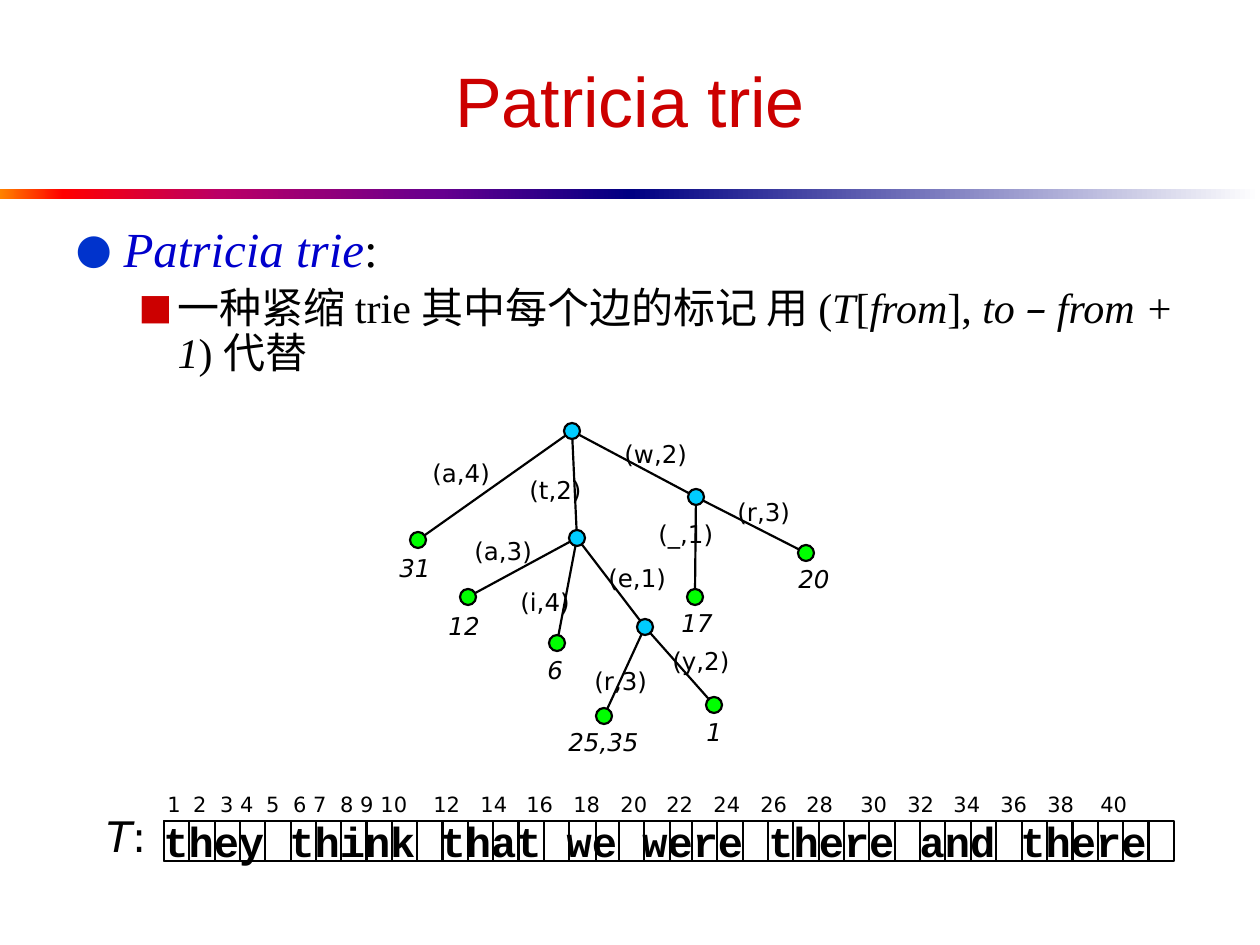
"""Builds the Patricia trie slide: heading, definition, trie diagram and indexed text."""
from math import hypot

from lxml.etree import SubElement
from pptx import Presentation
from pptx.dml.color import RGBColor
from pptx.enum.shapes import MSO_CONNECTOR, MSO_SHAPE
from pptx.enum.text import MSO_ANCHOR, MSO_AUTO_SIZE, PP_ALIGN
from pptx.oxml.ns import qn
from pptx.util import Emu, Pt

PX = 914400 // 126
COLORS = {
    "title": "CC0000", "term": "0000CC", "text": "000000", "dot": "0033CC",
    "square": "CC0000", "inner": "00CCFF", "leaf": "00FF00",
}
SANS, SERIF = "DejaVu Sans", "Times New Roman"
BARS = [
    (0, [(0, "FF8200"), (10, "FF0000"), (35, "BA0066"), (70, "66008F"), (100, "000082")]),
    (630, [(0, "000082"), (100, "FFFFFF")]),
]
BULLETS = [
    {"level": 0, "left": 48, "hang": 48, "mark": "●", "mark_color": "dot", "size": 28, "before": 0,
     "spans": [("Patricia trie", True, "term", SERIF), (":", False, "text", SERIF)]},
    {"level": 1, "left": 102, "hang": 39, "mark": "■", "mark_color": "square", "size": 24, "before": 5,
     "spans": [("一种紧缩 trie 其中每个边的标记 用 (", False, "text", SERIF),
               ("T", True, "text", SERIF), ("[", False, "text", SERIF),
               ("from", True, "text", SERIF), ("], ", False, "text", SERIF),
               ("to ", True, "text", SERIF), ("–", True, "text", SANS),
               (" from + 1", True, "text", SERIF), (") 代替", False, "text", SERIF)]},
]
NODES = {
    "root": (572, 431, "inner"), "w": (696, 497, "inner"),
    "t": (577, 538, "inner"), "the": (645, 627, "inner"),
    "31": (418, 540, "leaf"), "12": (468, 597, "leaf"), "6": (557, 643, "leaf"),
    "17": (695, 597, "leaf"), "20": (806, 553, "leaf"),
    "25,35": (604, 716, "leaf"), "1": (714, 705, "leaf"),
}
EDGES = [
    ("root", "31"), ("root", "t"), ("root", "w"), ("t", "12"), ("t", "6"),
    ("t", "the"), ("the", "25,35"), ("the", "1"), ("w", "17"), ("w", "20"),
]
EDGE_LABELS = [
    ("(a,4)", 420, 452, 87), ("(t,2)", 517, 469, 82), ("(w,2)", 612, 433, 92),
    ("(a,3)", 462, 530, 87), ("(i,4)", 508, 581, 79), ("(e,1)", 596, 557, 87),
    ("(r,3)", 582, 660, 83), ("(y,2)", 660, 640, 87), ("(_,1)", 646, 513, 88),
    ("(r,3)", 725, 491, 83),
]
LEAF_LABELS = [
    ("31", 387, 547, 57), ("12", 436, 605, 57), ("6", 535, 649, 40),
    ("25,35", 556, 721, 97), ("1", 694, 711, 40), ("17", 669, 602, 57), ("20", 786, 558, 57),
]
INDEXES = [
    (1, 174), (2, 200), (3, 227), (4, 247), (5, 273), (6, 300), (7, 320), (8, 347),
    (9, 367), (10, 394), (12, 447), (14, 494), (16, 540), (18, 587), (20, 634),
    (22, 680), (24, 727), (26, 774), (28, 820), (30, 874), (32, 921), (34, 967),
    (36, 1014), (38, 1061), (40, 1114),
]
STRING = "they think that we were there and there"
FRAMES = [(164, 432), (596, 426)]
CELL_RUNS = [(164, 16), (619, 2), (692, 12), (1022, 6)]
CELL_TOP, CELL_PITCH, CELL_HEIGHT = 821, 25.33, 40
NODE_SIZE = 16


def px(*lengths):
    return [Emu(round(length * PX)) for length in lengths]


def rgb(name):
    return RGBColor.from_string(COLORS[name])


def style(span, size, font=SANS, color="text", italic=False, bold=False):
    span.font.size, span.font.name = Pt(size), font
    span.font.italic, span.font.bold = italic, bold
    span.font.color.rgb = rgb(color)


def add_label(page, text, left, top, width, height, size, wrap=False, **look):
    box = page.shapes.add_textbox(*px(left, top, width, height))
    box.text_frame.word_wrap = wrap
    box.text_frame.text = text
    for span in box.text_frame.paragraphs[0].runs:
        style(span, size, **look)
    return box.text_frame.paragraphs[0]


def add_outlined(shapes, kind, left, top, width, height, fill=None):
    shape = shapes.add_shape(kind, *px(left, top, width, height))
    shape.shadow.inherit = False
    if fill:
        shape.fill.solid()
        shape.fill.fore_color.rgb = rgb(fill)
    else:
        shape.fill.background()
    shape.line.color.rgb = rgb("text")
    shape.line.width = Pt(1.25)


def add_bars(page):
    for left, stops in BARS:
        bar = page.shapes.add_shape(MSO_SHAPE.RECTANGLE, *px(left, 189, 630, 10))
        bar.shadow.inherit = False
        bar.line.fill.background()
        bar.fill.gradient()
        bar.fill.gradient_angle = 0
        stop_list = bar._element.spPr.find(qn("a:gradFill")).find(qn("a:gsLst"))
        for stop in list(stop_list):
            stop_list.remove(stop)
        for position, color in stops:
            stop = SubElement(stop_list, qn("a:gs"), pos=str(position * 1000))
            SubElement(stop, qn("a:srgbClr"), val=color)


def place(holder, *bounds):
    holder.left, holder.top, holder.width, holder.height = px(*bounds)
    holder.text_frame.auto_size = MSO_AUTO_SIZE.NONE


def fill_heading(page):
    title = page.shapes.title
    place(title, 63, 32, 1134, 136)
    title.text_frame.text = "Patricia trie"
    title.text_frame.vertical_anchor = MSO_ANCHOR.MIDDLE
    para = title.text_frame.paragraphs[0]
    para.alignment = PP_ALIGN.CENTER
    style(para.runs[0], 40, "Arial", "title")


def fill_body(page):
    body = page.placeholders[1]
    place(body, 63, 219, 1134, 129)
    frame = body.text_frame
    for number, item in enumerate(BULLETS):
        para = frame.add_paragraph() if number else frame.paragraphs[0]
        para.level = item["level"]
        props = para._p.get_or_add_pPr()
        props.set("marL", str(item["left"] * PX))
        props.set("indent", str(-item["hang"] * PX))
        color = SubElement(props, qn("a:buClr"))
        SubElement(color, qn("a:srgbClr"), val=COLORS[item["mark_color"]])
        SubElement(props, qn("a:buSzPct"), val="85000")
        SubElement(props, qn("a:buFont"), typeface=SANS)
        SubElement(props, qn("a:buChar"), char=item["mark"])
        para.line_spacing = 0.9
        para.space_before = Pt(item["before"])
        for text, italic, color_name, font in item["spans"]:
            span = para.add_run()
            span.text = text
            style(span, item["size"], font, color_name, italic)


def add_trie(page):
    for parent, child in EDGES:
        (x1, y1, _), (x2, y2, _) = NODES[parent], NODES[child]
        trim = NODE_SIZE / 2 / hypot(x2 - x1, y2 - y1)
        dx, dy = (x2 - x1) * trim, (y2 - y1) * trim
        edge = page.shapes.add_connector(
            MSO_CONNECTOR.STRAIGHT, *px(x1 + dx, y1 + dy, x2 - dx, y2 - dy))
        edge.line.color.rgb = rgb("text")
        edge.line.width = Pt(1.25)
        SubElement(edge._element.spPr, qn("a:effectLst"))
    for x, y, kind in NODES.values():
        add_outlined(page.shapes, MSO_SHAPE.OVAL, x - NODE_SIZE / 2, y - NODE_SIZE / 2,
                     NODE_SIZE, NODE_SIZE, kind)
    for labels, italic in ((EDGE_LABELS, False), (LEAF_LABELS, True)):
        for text, left, top, width in labels:
            add_label(page, text, left, top, width, 42, 14, italic=italic)


def add_string(page):
    text_start = 167.6
    para = add_label(page, "\t".join(str(index) for index, _ in INDEXES),
                     155, 785, 1038, 38, 12, wrap=True)
    tabs = SubElement(para._p.get_or_add_pPr(), qn("a:tabLst"))
    for _, center in INDEXES[1:]:
        SubElement(tabs, qn("a:tab"), pos=str(round((center - text_start) * PX)), algn="ctr")
    add_label(page, STRING, 151, 809, 1060, 63, 24, wrap=True, font="Courier New", bold=True)
    cells = page.shapes.add_group_shape().shapes
    for left, width in FRAMES:
        add_outlined(cells, MSO_SHAPE.RECTANGLE, left, CELL_TOP, width, CELL_HEIGHT)
    for start, count in CELL_RUNS:
        for number in range(count):
            add_outlined(cells, MSO_SHAPE.RECTANGLE, start + number * CELL_PITCH,
                         CELL_TOP, CELL_PITCH, CELL_HEIGHT)
    name = add_label(page, "T", 94, 804, 71, 63, 24, italic=True)
    colon = name.add_run()
    colon.text = ":"
    style(colon, 24)


def main():
    deck = Presentation()
    deck.slide_width, deck.slide_height = px(1260, 945)
    page = deck.slides.add_slide(deck.slide_layouts[1])
    add_bars(page)
    fill_heading(page)
    fill_body(page)
    add_trie(page)
    add_string(page)
    deck.save("out.pptx")


if __name__ == "__main__":
    main()
